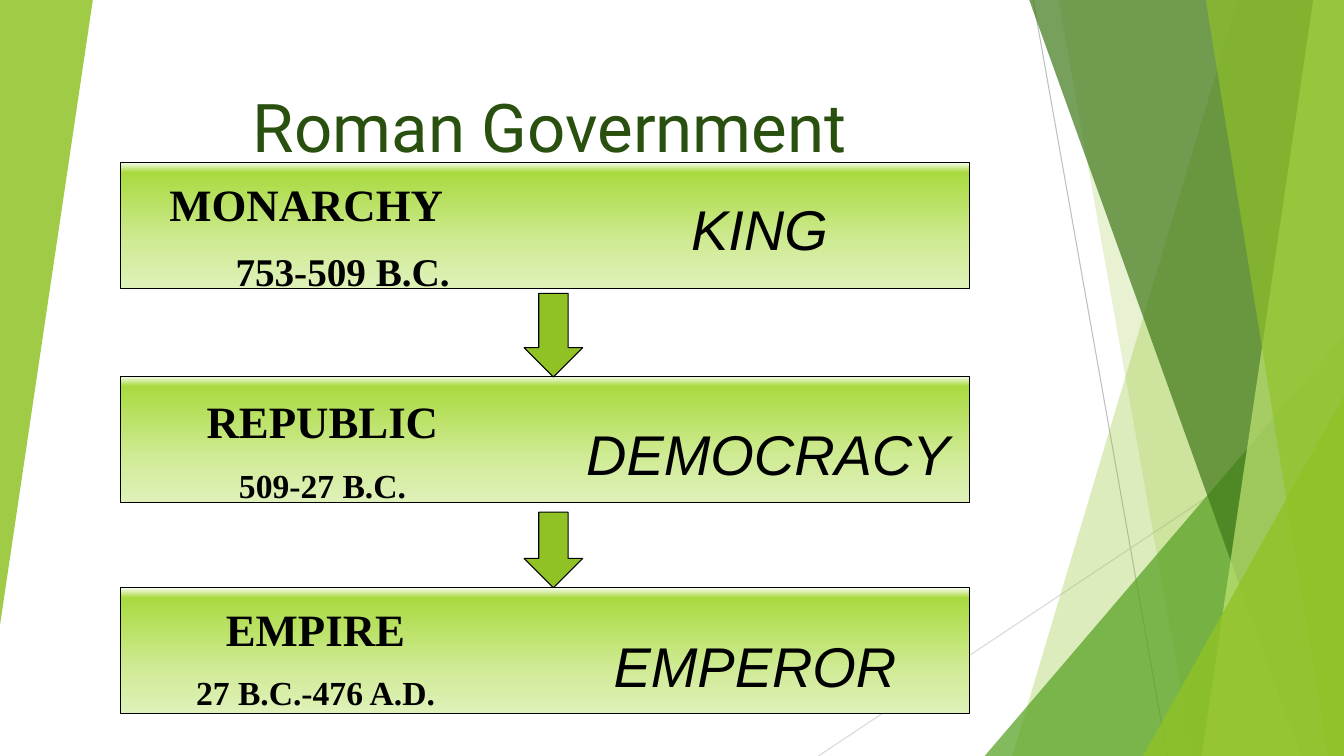
"""Build the Roman Government slide: three eras linked by arrows."""
import lxml.etree
import pptx
import pptx.dml.color
import pptx.enum.shapes
import pptx.enum.text
import pptx.oxml.ns
import pptx.util

Pt = pptx.util.Pt
RGB = pptx.dml.color.RGBColor
SHAPE = pptx.enum.shapes.MSO_SHAPE
ALIGN = pptx.enum.text.PP_ALIGN
ANCHOR = pptx.enum.text.MSO_ANCHOR
qn = pptx.oxml.ns.qn

BLACK = RGB(0x00, 0x00, 0x00)
LIME = RGB(0x90, 0xC2, 0x26)
PALE_LIME = RGB(0xC0, 0xE4, 0x74)
GREEN = RGB(0x54, 0xA0, 0x21)
FOREST = RGB(0x3F, 0x78, 0x19)
TITLE_GREEN = RGB(0x2A, 0x50, 0x10)
GRAY = RGB(0xBF, 0xBF, 0xBF)
LIGHT_GRAY = RGB(0xD9, 0xD9, 0xD9)
BAR_STOPS = [(0, RGB(0xFA, 0xFD, 0xF3)), (8, RGB(0xA9, 0xDA, 0x40)),
             (65, RGB(0xD0, 0xEB, 0x96)), (100, RGB(0xDF, 0xF1, 0xB9))]
WIDTH, HEIGHT = 960, 540

prs = pptx.Presentation()
prs.slide_width, prs.slide_height = Pt(WIDTH), Pt(HEIGHT)
s = prs.slides.add_slide(prs.slide_layouts[6])


def add_text(lines, box, font="Times New Roman", color=BLACK, bold=False, italic=False,
             align=ALIGN.CENTER, anchor=ANCHOR.TOP, top=7, bottom=3.6):
    """Add a text box of (text, size) lines and return its text frame."""
    tf = s.shapes.add_textbox(*map(Pt, box)).text_frame
    tf.word_wrap = True
    tf.vertical_anchor = anchor
    tf.margin_top, tf.margin_bottom = Pt(top), Pt(bottom)
    for i, (text, size) in enumerate(lines):
        p = tf.add_paragraph() if i else tf.paragraphs[0]
        p.alignment = align
        p.space_before = Pt(12 if i else 0)
        r = p.add_run()
        r.text = text
        r.font.name, r.font.size, r.font.color.rgb = font, Pt(size), color
        r.font.bold, r.font.italic = bold, italic
    return tf


def fill_glass(sp, color, opacity):
    """Give a borderless shape a see-through fill."""
    sp.shadow.inherit = False
    sp.line.fill.background()
    sp.fill.solid()
    sp.fill.fore_color.rgb = color
    clr = sp.fill._xPr.find(".//" + qn("a:srgbClr"))
    lxml.etree.SubElement(clr, qn("a:alpha"), val=str(opacity * 1000))


for x1, y1, x2, y2, color in [(738, 0, 833.8, HEIGHT, GRAY),
                              (WIDTH, 290, 584.6, HEIGHT, LIGHT_GRAY)]:
    line = s.shapes.add_connector(pptx.enum.shapes.MSO_CONNECTOR.STRAIGHT,
                                  Pt(x1), Pt(y1), Pt(x2), Pt(y2))
    line.line.color.rgb, line.line.width = color, Pt(0.75)
    lxml.etree.SubElement(line._element.spPr, qn("a:effectLst"))

# Shards give top and bottom x of the left edge; triangles give left and top.
facets = [("shard", 884.4, 723.1, LIME, 30), ("shard", 756, 852, LIME, 20),
          ("triangle", 703.4, 239.8, GREEN, 72), ("shard", 735, 929.3, FOREST, 70),
          ("shard", 938.2, 858.4, PALE_LIME, 70), ("shard", 861.2, 948.7, LIME, 65),
          ("triangle", 816.5, 283, LIME, 80)]
for kind, a, b, color, opacity in facets:
    if kind == "shard":
        fb = s.shapes.build_freeform(Pt(a), Pt(-0.6))
        fb.add_line_segments([(Pt(WIDTH), Pt(-0.6)), (Pt(WIDTH), Pt(HEIGHT)), (Pt(b), Pt(HEIGHT))])
        sp = fb.convert_to_shape()
    else:
        sp = s.shapes.add_shape(SHAPE.ISOSCELES_TRIANGLE, Pt(a), Pt(b), Pt(WIDTH - a), Pt(HEIGHT - b))
        sp.adjustments[0] = 1
    fill_glass(sp, color, opacity)

left_wedge = s.shapes.add_shape(SHAPE.ISOSCELES_TRIANGLE, 0, 0, Pt(66.3), Pt(446.4))
left_wedge.adjustments[0] = 1
left_wedge.rotation = 180
fill_glass(left_wedge, LIME, 85)

add_text([("Roman Government", 48)], (0, 3.6, 612, 115.9), font="Roboto", color=TITLE_GREEN,
         align=ALIGN.RIGHT, anchor=ANCHOR.BOTTOM, bottom=1)

for top in (115.9, 268.6, 419.8):
    bar = s.shapes.add_shape(SHAPE.RECTANGLE, Pt(86.4), Pt(top), Pt(606.2), Pt(90))
    bar.shadow.inherit = False
    bar.line.color.rgb, bar.line.width = BLACK, Pt(0.75)
    bar.fill.gradient()
    bar.fill.gradient_angle = 270
    stops = bar.fill._xPr.find(".//" + qn("a:gsLst"))
    for gs in list(stops):
        stops.remove(gs)
    for pos, color in BAR_STOPS:
        gs = lxml.etree.SubElement(stops, qn("a:gs"), pos=str(pos * 1000))
        lxml.etree.SubElement(gs, qn("a:srgbClr"), val=str(color))

tf = add_text([("MONARCHY", 32), ("753-509 B.C.", 28)], (18, 78.5, 310.3, 103),
              bold=True, align=ALIGN.RIGHT, top=48)
r = tf.paragraphs[0].add_run()
r.text = " "
r.font.size = Pt(20)
add_text([("REPUBLIC", 32), ("509-27 B.C.", 24)], (86.4, 274.3, 288, 87.1), bold=True)
add_text([("EMPIRE", 32), ("27 B.C.-476 A.D.", 24)], (81.4, 422.6, 288, 90), bold=True)

for ruler, box, top in [("KING", (389.5, 131.8, 306, 55.4), 7),
                        ("DEMOCRACY", (404.6, 263.5, 288, 84.2), 36),
                        ("EMPEROR", (380.2, 444.2, 318.2, 55.4), 7)]:
    add_text([(ruler, 40)], box, font="Arial", italic=True, top=top)

for top, height in [(209.5, 59.8), (365.8, 54)]:
    arrow = s.shapes.add_shape(SHAPE.DOWN_ARROW, Pt(374.4), Pt(top), Pt(41.8), Pt(height))
    arrow.shadow.inherit = False
    arrow.fill.solid()
    arrow.fill.fore_color.rgb = LIME
    arrow.line.color.rgb, arrow.line.width = BLACK, Pt(0.75)

prs.save("out.pptx")
